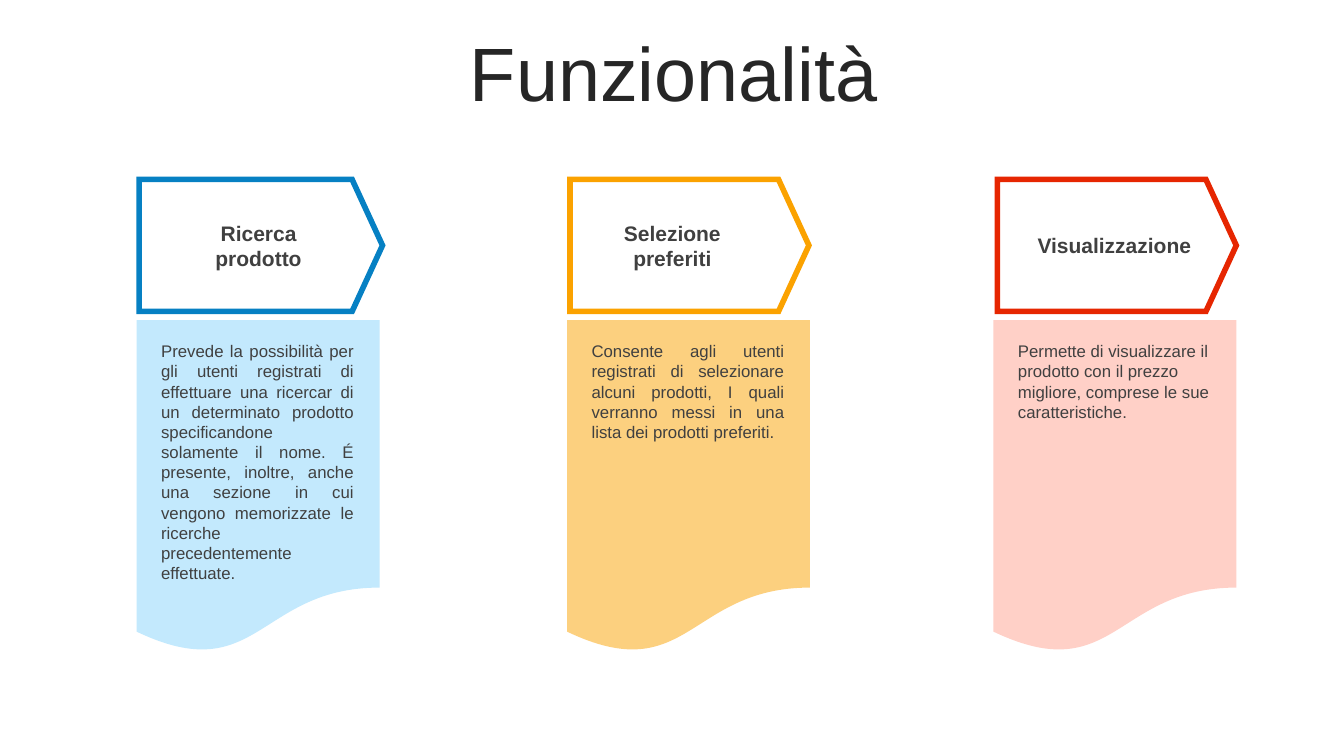
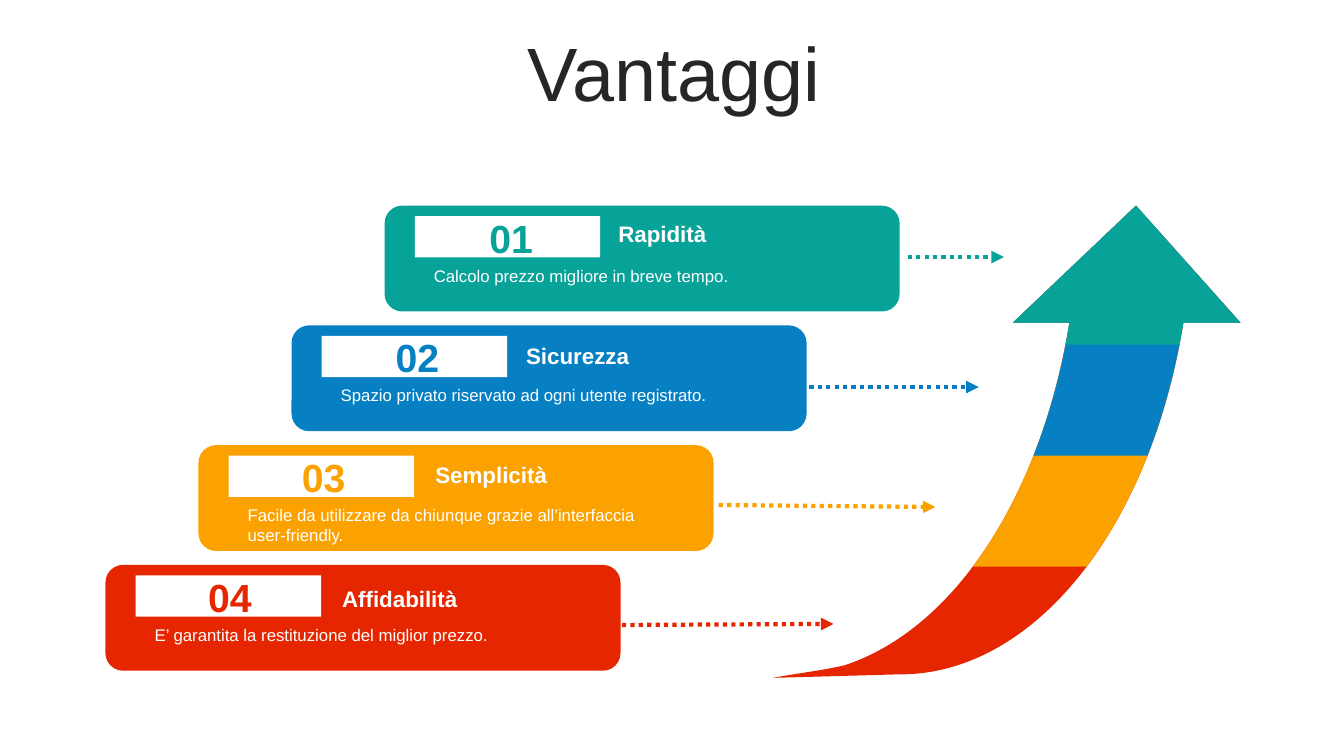
from pptx import Presentation
from pptx import util as u
from pptx.dml import color
from pptx.enum import dml, shapes, text
from pptx.oxml import ns
from lxml import etree

COLOURS = {
    "title": "262626", "body": "404040", "white": "FFFFFF",
    "teal": "07A398", "blue": "0680C3", "orange": "FBA200", "red": "E62601",
    "pale_blue": "C3E9FD", "pale_red": "FFD0C7",
}
FORMATS = {
    "title": {"size": u.Pt(54)},
    "label": {"size": u.Pt(15), "bold": True},
    "number": {"size": u.Pt(28), "bold": True},
    "heading": {"size": u.Pt(16), "bold": True},
    "body": {"size": u.Pt(12)},
}
CELL = u.Inches(0.1)
COLUMNS, ROWS = 133.33, 75
LEFT, CENTRE, JUSTIFY = text.PP_ALIGN.LEFT, text.PP_ALIGN.CENTER, text.PP_ALIGN.JUSTIFY
KIND = shapes.MSO_SHAPE


def grid(*cells):
    return [round(cell * CELL) for cell in cells]


def add_element(parent, tag, **values):
    return etree.SubElement(parent, ns.qn(tag), values)


def split_curve(points, t):
    start = [points[0]]
    while len(points) > 1:
        points = [tuple(a + (b - a) * t for a, b in zip(p, q))
                  for p, q in zip(points, points[1:])]
        start.append(points[0])
    return start


def cut_curve(points, bottom):
    if bottom is None:
        return points
    low, high = 0, 1
    for _ in range(30):
        middle = (low + high) / 2
        if split_curve(points, middle)[-1][1] < bottom:
            low = middle
        else:
            high = middle
    return split_curve(points, low)


class Deck:
    def __init__(self):
        self.deck = Presentation()
        self.deck.slide_width, self.deck.slide_height = grid(COLUMNS, ROWS)
        self.page = None

    def add_page(self, title):
        self.page = self.deck.slides.add_slide(self.deck.slide_layouts[6])
        box = self.add_text(title, (3.55, 3.7, 126.6, 7.9), "title", "title", CENTRE)
        box.text_frame.auto_size = text.MSO_AUTO_SIZE.NONE
        box.text_frame.vertical_anchor = text.MSO_ANCHOR.MIDDLE
        box.text_frame.paragraphs[0].line_spacing = 0.9

    def add_text(self, words, place, style, colour, align=LEFT):
        box = self.page.shapes.add_textbox(*grid(*place))
        frame = box.text_frame
        frame.word_wrap = True
        frame.auto_size = text.MSO_AUTO_SIZE.SHAPE_TO_FIT_TEXT
        para = frame.paragraphs[0]
        para.alignment = align
        span = para.add_run()
        span.text = words
        span.font.name = "Arial"
        span.font.color.rgb = color.RGBColor.from_string(COLOURS[colour])
        for name, value in FORMATS[style].items():
            setattr(span.font, name, value)
        return box

    def paint(self, shape, fill=None, outline=None, alpha=None):
        shape.shadow.inherit = False
        if fill:
            shape.fill.solid()
            shape.fill.fore_color.rgb = color.RGBColor.from_string(COLOURS[fill])
        else:
            shape.fill.background()
        if alpha:
            tint = shape.element.spPr.find(".//" + ns.qn("a:srgbClr"))
            add_element(tint, "a:alpha", val=str(alpha * 1000))
        if outline:
            shape.line.color.rgb = color.RGBColor.from_string(COLOURS[outline])
            shape.line.width = u.Pt(4)
            add_element(shape.element.spPr.find(ns.qn("a:ln")), "a:miter", lim="800000")
        else:
            shape.line.fill.background()

    def add_shape(self, kind, place, **look):
        shape = self.page.shapes.add_shape(kind, *grid(*place))
        self.paint(shape, **look)
        return shape

    def add_group(self):
        return self.page.shapes.add_group_shape()

    def add_outline(self, group, start, segments, **look):
        corners = [grid(*segment[-1]) for segment in segments]
        builder = group.shapes.build_freeform(*grid(*start))
        builder.add_line_segments(corners, close=True)
        shape = builder.convert_to_shape()
        lines = shape.element.spPr.findall(".//" + ns.qn("a:lnTo"))
        for line, segment in zip(lines, segments):
            if len(segment) == 3:
                bend = etree.Element(ns.qn("a:cubicBezTo"))
                for point in segment:
                    x, y = grid(*point)
                    add_element(bend, "a:pt", x=str(x - shape.left), y=str(y - shape.top))
                line.getparent().replace(line, bend)
        self.paint(shape, **look)

    def add_arrow(self, ends, colour):
        arrow = self.page.shapes.add_connector(shapes.MSO_CONNECTOR.STRAIGHT, *grid(*ends))
        arrow.line.color.rgb = color.RGBColor.from_string(COLOURS[colour])
        arrow.line.width = u.Pt(3)
        arrow.line.dash_style = dml.MSO_LINE.ROUND_DOT
        add_element(arrow.element.spPr.find(ns.qn("a:ln")), "a:tailEnd", type="triangle")
        add_element(arrow.element.spPr, "a:effectLst")

    def save(self):
        self.deck.save("out.pptx")


FEATURES = [
    ("Ricerca prodotto",
     "Prevede la possibilità per gli utenti registrati di effettuare una ricercar di un "
     "determinato prodotto specificandone solamente il nome. É presente, inoltre, anche una "
     "sezione in cui vengono memorizzate le ricerche precedentemente effettuate.",
     13.55, (13.8, 24.15), (17.1, 21.4, 17.1, 6.1), 25.2, JUSTIFY,
     "blue", {"fill": "pale_blue"}),
    ("Selezione preferiti",
     "Consente agli utenti registrati di selezionare alcuni prodotti, I quali verranno messi "
     "in una lista dei prodotti preferiti.",
     56.25, (56.55, 23.7), (59.8, 21.4, 13.8, 6.1), 11.1, JUSTIFY,
     "orange", {"fill": "orange", "alpha": 50}),
    ("Visualizzazione",
     "Permette di visualizzare il prodotto con il prezzo migliore, comprese le sue "
     "caratteristiche.",
     98.55, (98.95, 23.7), (101.6, 22.6, 17.9, 3.5), 9.1, LEFT,
     "red", {"fill": "pale_red"}),
]

BENEFITS = [
    ("Rapidità", "Calcolo prezzo migliore in breve tempo.",
     "teal", (60.35, 21.35), 3, (90.05, 25.5, 99.6, 25.5)),
    ("Sicurezza", "Spazio privato riservato ad ogni utente registrato.",
     "blue", (51.2, 33.5), 3, (80.3, 38.4, 97.1, 38.4)),
    ("Semplicità", "Facile da utilizzare da chiunque grazie all’interfaccia user-friendly.",
     "orange", (42.2, 45.25), 5, (71.3, 50.1, 92.8, 50.3)),
    ("Affidabilità", "E’ garantita la restituzione del miglior prezzo.",
     "red", (32.95, 57.6), 3, (61.7, 62, 82.7, 61.9)),
]

ARROW_TIP = (112.7, 20.4)
HEAD_LEFT, HEAD_RIGHT = (100.5, 32), (123.05, 32)
OUTER_EDGE = [(117.4, 32), (114, 53), (102.2, 67), (89.2, 66.9)]
INNER_EDGE = [(106.1, 32), (103.3, 49.2), (94.7, 62.4), (83.8, 66)]
TAIL_EDGE = [(76.7, 67.25), (79, 66.8), (81.2, 66.6), (83.8, 66)]
ARROW_BANDS = [("red", None), ("orange", 56.2), ("blue", 45.2), ("teal", 34.2)]


def build_features(deck):
    deck.add_page("Funzionalità")
    for label, detail, left, plate, label_place, height, align, outline, look in FEATURES:
        plate_left, plate_width = plate
        tag = deck.add_shape(KIND.PENTAGON, (plate_left, 17.8, plate_width, 13.1),
                             outline=outline)
        tag.adjustments[0] = 0.23
        deck.add_text(label, label_place, "label", "body", CENTRE)
        deck.add_shape(KIND.FLOWCHART_DOCUMENT, (left, 31.75, 24.1, 33.1), **look)
        deck.add_text(detail, (left + 1.45, 33.33, 21.1, height), "body", "body", align)


def build_benefits(deck):
    deck.add_page("Vantaggi")
    for index, (heading, detail, colour, corner, height, ends) in enumerate(BENEFITS):
        left, top = 38.15 - 9.23 * index, 20.4 + 11.88 * index
        deck.add_shape(KIND.ROUNDED_RECTANGLE, (left, top, 51.1, 10.5), fill=colour)
        deck.add_shape(KIND.RECTANGLE, (left + 3, top + 1.03, 18.4, 4.1), fill="white")
        deck.add_text(f"{index + 1:02}", (46.5 - 9.3 * index, top + 0.34, 8.4, 5.7),
                      "number", colour, CENTRE)
        deck.add_text(heading, (*corner, 16.9, 3.7), "heading", "white")
        deck.add_text(detail, (left + 3.9, top + 5.44, 44.4, height), "body", "white")
        deck.add_arrow(ends, colour)
    group = deck.add_group()
    for colour, bottom in ARROW_BANDS:
        outer, inner = cut_curve(OUTER_EDGE, bottom), cut_curve(INNER_EDGE, bottom)
        segments = [[HEAD_RIGHT], outer[:1], outer[1:]]
        segments += [inner[-1:]] if bottom else [TAIL_EDGE[:1], TAIL_EDGE[1:]]
        segments += [inner[-2::-1], [HEAD_LEFT]]
        deck.add_outline(group, ARROW_TIP, segments, fill=colour)


def main():
    deck = Deck()
    build_features(deck)
    build_benefits(deck)
    deck.save()


if __name__ == "__main__":
    main()
